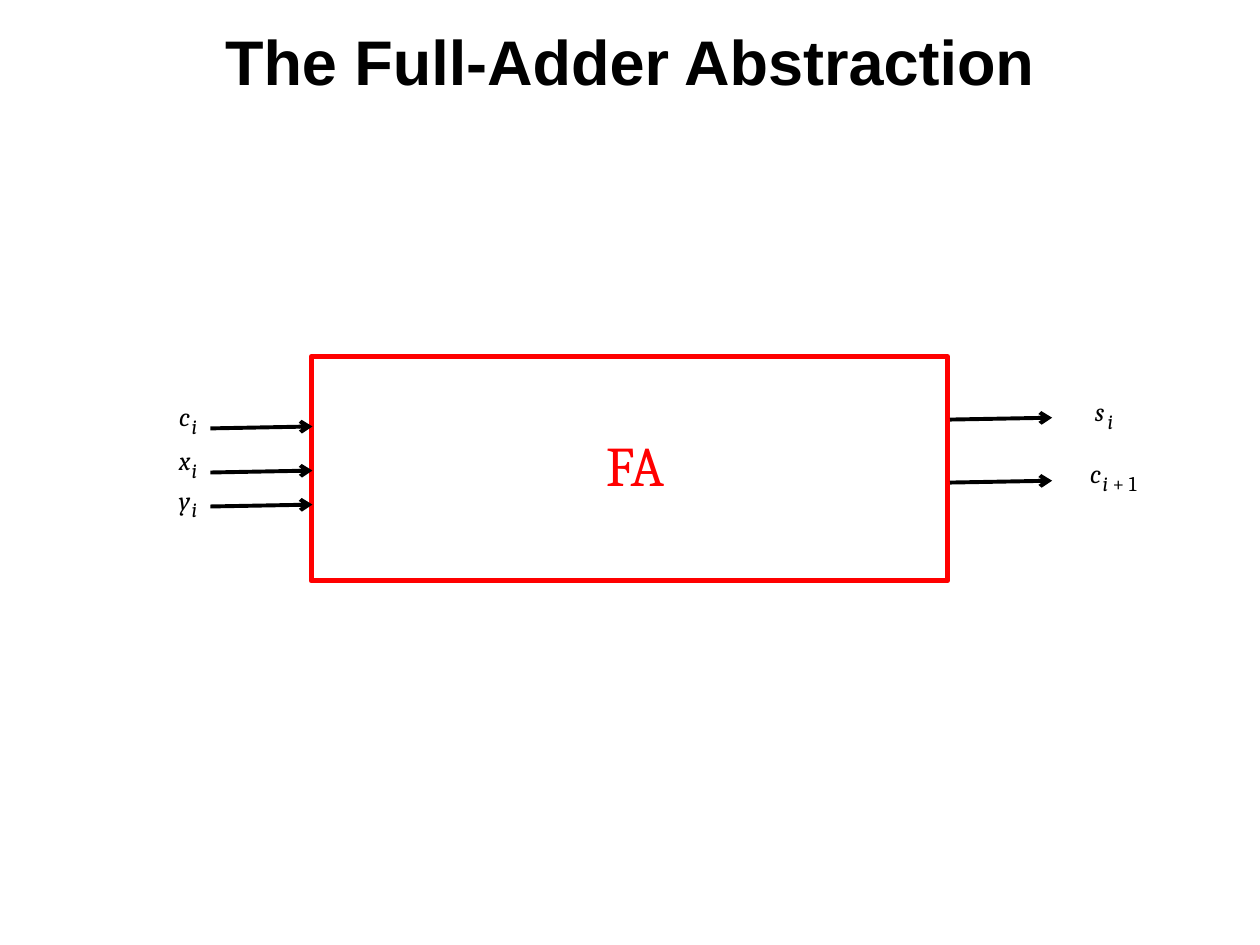
"""Build the full-adder abstraction slide on a grid of 100 columns by 75 rows."""
from lxml.etree import SubElement
from pptx import Presentation
from pptx.dml.color import RGBColor
from pptx.enum.shapes import MSO_CONNECTOR, MSO_SHAPE
from pptx.enum.text import MSO_ANCHOR, MSO_AUTO_SIZE, PP_ALIGN
from pptx.oxml.ns import qn
from pptx.util import Inches, Pt

COLORS = {"ink": "000000", "adder": "FF0000"}

presentation = Presentation()
presentation.slide_width = Inches(10)
presentation.slide_height = Inches(7.5)
column = presentation.slide_width / 100
row = presentation.slide_height / 75
slide = presentation.slides.add_slide(presentation.slide_layouts[6])


def add_text(text, left, top, width, height, size, color="ink", font="Cambria", italic=False):
    box = slide.shapes.add_textbox(
        int(left * column), int(top * row), int(width * column), int(height * row))
    frame = box.text_frame
    frame.margin_left = frame.margin_right = frame.margin_top = frame.margin_bottom = 0
    frame.word_wrap = False
    frame.auto_size = MSO_AUTO_SIZE.SHAPE_TO_FIT_TEXT
    run = frame.paragraphs[0].add_run()
    run.text = text
    run.font.name = font
    run.font.size = Pt(size)
    run.font.italic = italic
    run.font.color.rgb = RGBColor.from_string(COLORS[color])
    return frame


def add_arrow(start_x, start_y, length=8.1, rise=0.15):
    arrow = slide.shapes.add_connector(
        MSO_CONNECTOR.STRAIGHT, int(start_x * column), int(start_y * row),
        int((start_x + length) * column), int((start_y - rise) * row))
    arrow.line.color.rgb = RGBColor.from_string(COLORS["ink"])
    arrow.line.width = Pt(2.25)
    SubElement(arrow.line._get_or_add_ln(), qn("a:tailEnd"), type="arrow")
    SubElement(arrow._element.spPr, qn("a:effectLst"))


title = add_text("The Full-Adder Abstraction", 0, 0.8, 100, 9.2, 36, font="Arial")
title.word_wrap = True
title.auto_size = MSO_AUTO_SIZE.NONE
title.margin_top = int(row)
title.vertical_anchor = MSO_ANCHOR.TOP
title.paragraphs[0].alignment = PP_ALIGN.CENTER
title.paragraphs[0].runs[0].font.bold = True

adder = slide.shapes.add_shape(
    MSO_SHAPE.RECTANGLE, int(24.7 * column), int(28.3 * row),
    int(50.5 * column), int(17.8 * row))
adder.shadow.inherit = False
adder.fill.background()
adder.line.color.rgb = RGBColor.from_string(COLORS["adder"])
adder.line.width = Pt(3)
add_text("FA", 48.1, 34.2, 5.4, 5.4, 32, "adder")

signals = [
    ("c", 14.2, 31.8, "i"),
    ("x", 14.2, 35.3, "i"),
    ("y", 14.2, 38.4, "i"),
    ("s", 86.9, 31.4, "i"),
    ("c", 86.5, 36.3, "i+1"),
]
subscript_places = {"i": (1, 1.5), "+": (1.8, 2), "1": (3.1, 1.9)}
for name, left, top, subscript in signals:
    add_text(name, left, top, 2.4, 3, 15, italic=True)
    for symbol in subscript:
        offset, width = subscript_places[symbol]
        add_text(symbol, left + offset, top + 1.03, width, 2.3, 12, italic=symbol == "i")

for start_x, start_y in [(16.7, 34), (16.7, 37.5), (16.7, 40.2), (75.4, 33.3), (75.4, 38.3)]:
    add_arrow(start_x, start_y)

presentation.save("out.pptx")
